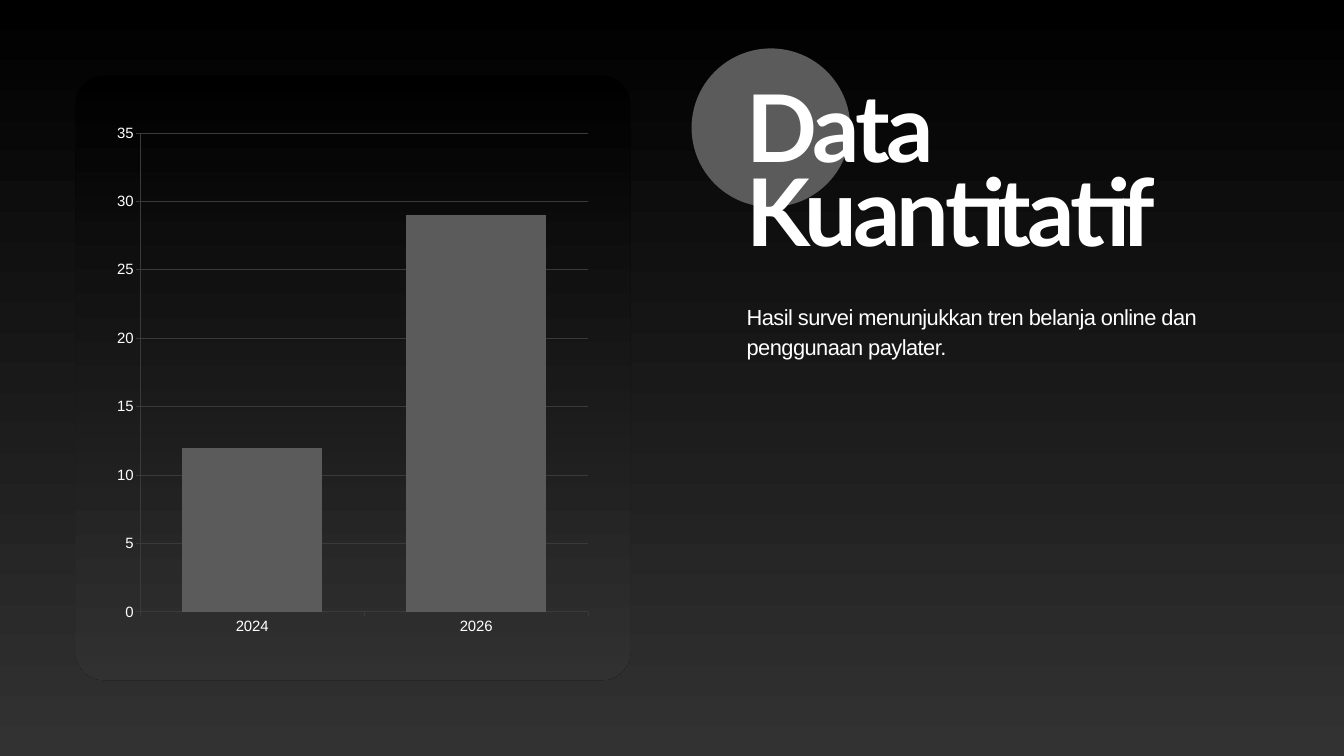
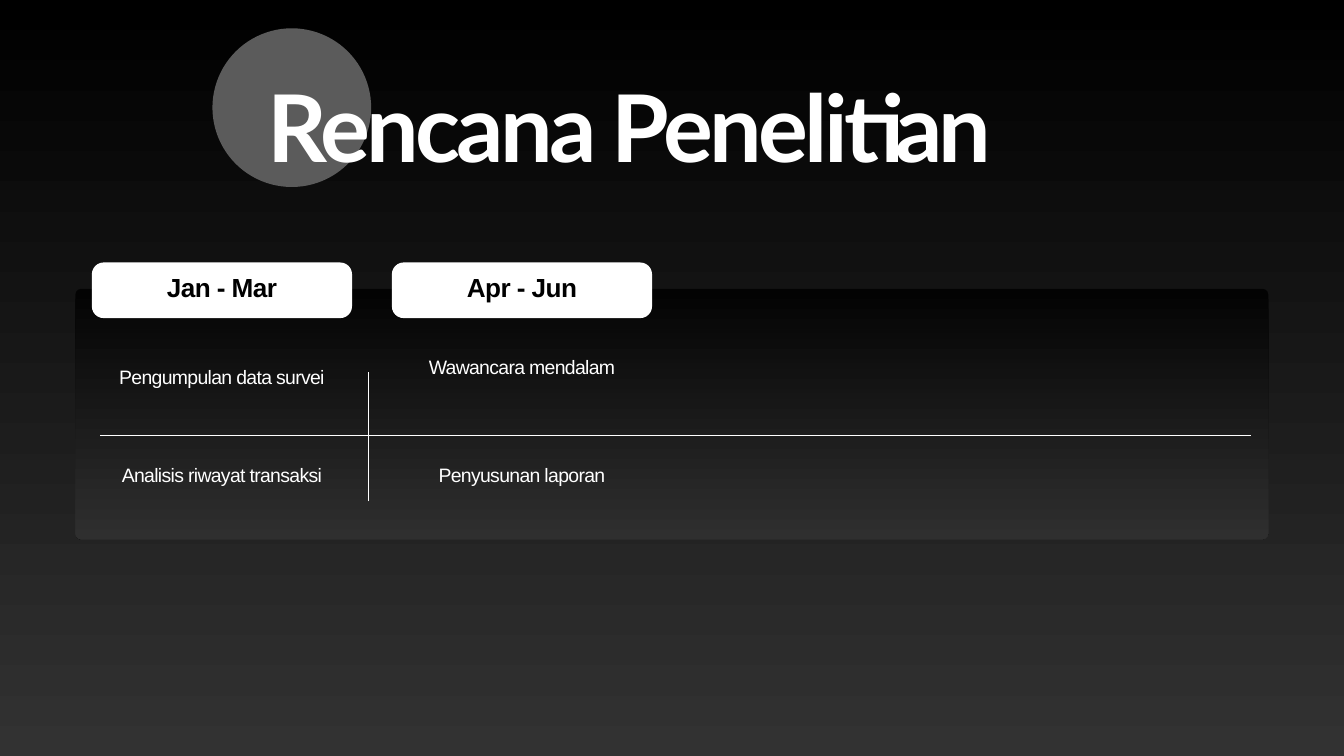
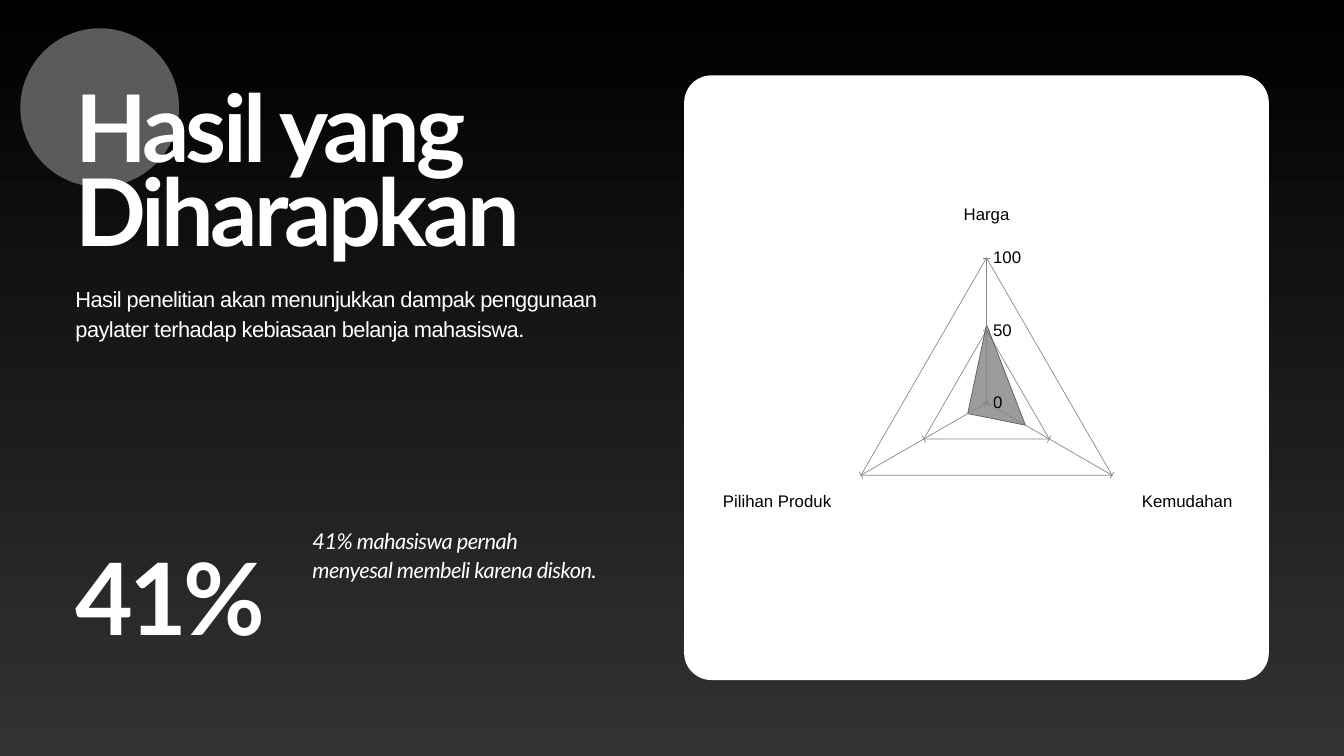
from dataclasses import dataclass
from lxml import etree
from pptx import Presentation
from pptx.chart.data import CategoryChartData
from pptx.dml.color import RGBColor
from pptx.enum import chart as charts, shapes, text
from pptx.oxml.ns import qn
from pptx.util import Cm, Pt

BLACK = RGBColor(0x00, 0x00, 0x00)
DARK = RGBColor(0x32, 0x32, 0x32)
GRID = RGBColor(0x3A, 0x3A, 0x3A)
GREY = RGBColor(0x5B, 0x5B, 0x5B)
WHITE = RGBColor(0xFF, 0xFF, 0xFF)


@dataclass(frozen=True)
class Box:
    """Place and size in centimetres."""
    x: float
    y: float
    w: float
    h: float

    def cm(self) -> tuple:
        return Cm(self.x), Cm(self.y), Cm(self.w), Cm(self.h)


@dataclass(frozen=True)
class Style:
    size: float
    line: float
    space: float
    font: str = "Arial"
    color: RGBColor = WHITE
    bold: bool = False
    italic: bool = False
    align: text.PP_ALIGN = text.PP_ALIGN.LEFT


TITLE = Style(100, 90, -4, "Lato", bold=True)
FIGURE = Style(106.9, 96.2, -4.3, "Lato", bold=True)
BODY = Style(23.4, 31.8, -0.6)
QUOTE = Style(23.4, 31.8, -0.6, "Lato", italic=True)
CELL = Style(20.8, 28.5, -0.7, align=text.PP_ALIGN.CENTER)
LABEL = Style(28, 27.2, -0.6, color=BLACK, bold=True, align=text.PP_ALIGN.CENTER)


# Text
def write(shape, words: str, style: Style, anchor=text.MSO_ANCHOR.TOP) -> None:
    frame = shape.text_frame
    frame.text = words
    frame.word_wrap = True
    frame.auto_size = text.MSO_AUTO_SIZE.NONE
    frame.vertical_anchor = anchor
    frame.margin_left = frame.margin_right = 0
    frame.margin_top = frame.margin_bottom = 0
    para = frame.paragraphs[0]
    para.alignment = style.align
    para.line_spacing = Pt(style.line)
    para.space_before = Pt(0)
    props = para._p.get_or_add_pPr()
    props.set("marL", "0")
    props.set("indent", "0")
    etree.SubElement(props, qn("a:buNone"))
    font = para.font
    font.name, font.size = style.font, Pt(style.size)
    font.bold, font.italic = style.bold, style.italic
    font.color.rgb = style.color
    font._element.set("spc", str(round(style.space * 100)))


def note(slide, box: Box, words: str, style: Style) -> None:
    write(slide.shapes.add_textbox(*box.cm()), words, style)


def fill_in(holder, box: Box, words: str, style: Style) -> None:
    holder.left, holder.top, holder.width, holder.height = box.cm()
    write(holder, words, style)


# Shapes
def fade(fill) -> None:
    fill.gradient()
    fill.gradient_angle = 270
    for stop, color in zip(fill.gradient_stops, (BLACK, DARK)):
        stop.color.rgb = color


def alpha(root, share: int) -> None:
    for color in root.iter(qn("a:srgbClr")):
        etree.SubElement(color, qn("a:alpha")).set("val", str(share * 1000))


def card(slide, box: Box, radius: float, solid: bool = True):
    shape = slide.shapes.add_shape(shapes.MSO_SHAPE.ROUNDED_RECTANGLE, *box.cm())
    shape.adjustments[0] = radius / min(box.w, box.h)
    shape.shadow.inherit = False
    shape.line.fill.background()
    if solid:
        shape.fill.solid()
        shape.fill.fore_color.rgb = WHITE
    else:
        fade(shape.fill)
        alpha(shape._element.spPr, 80)
    return shape


def rule(slide, x1: float, y1: float, x2: float, y2: float) -> None:
    line = slide.shapes.add_connector(
        shapes.MSO_CONNECTOR.STRAIGHT, Cm(x1), Cm(y1), Cm(x2), Cm(y2))
    line.line.color.rgb = WHITE
    line.line.width = Pt(1.5)
    etree.SubElement(line._element.spPr, qn("a:effectLst"))


def head(slide, box: Box, words: str, top: float = 1.07) -> None:
    """Title with the grey disc behind its first letter."""
    disc = slide.shapes.add_shape(
        shapes.MSO_SHAPE.OVAL, *Box(box.x - 2.08, top, 6, 6).cm())
    disc.shadow.inherit = False
    disc.fill.solid()
    disc.fill.fore_color.rgb = GREY
    disc.line.fill.background()
    title = slide.shapes.title
    disc._element.addnext(title._element)
    fill_in(title, box, words, TITLE)


# Charts
def plot(slide, box: Box, kind, data: dict, color: RGBColor, top: int, step: int):
    source = CategoryChartData()
    source.categories = list(data)
    source.add_series("Series 1", list(data.values()))
    chart = slide.shapes.add_chart(kind, *box.cm(), source).chart
    chart.has_legend = chart.has_title = False
    chart.font.name, chart.font.size = "Arial", Pt(18)
    chart.font.color.rgb = color
    chart.plots[0].vary_by_categories = False
    axis = chart.value_axis
    axis.minimum_scale, axis.maximum_scale, axis.major_unit = 0, top, step
    look = chart.plots[0].series[0].format
    look.fill.solid()
    look.fill.fore_color.rgb = GREY
    return chart


def data_slide(deck) -> None:
    slide = deck.slides.add_slide(deck.slide_layouts[1])
    head(slide, Box(28.22, 3.66, 19.74, 6.35), "Data Kuantitatif", 1.83)
    fill_in(slide.placeholders[1], Box(28.22, 11.35, 19.74, 5.9),
            "Hasil survei menunjukkan tren belanja online dan penggunaan paylater.",
            BODY)
    card(slide, Box(2.85, 2.85, 20.98, 22.86), 1.09, solid=False)
    chart = plot(slide, Box(4.06, 4.32, 18.54, 20.07),
                 charts.XL_CHART_TYPE.COLUMN_CLUSTERED,
                 {"2024": 12, "2026": 29}, WHITE, 35, 5)
    chart.plots[0].gap_width, chart.plots[0].overlap = 60, -10
    axes = chart.category_axis, chart.value_axis
    for axis in axes:
        axis.tick_labels.font.size = Pt(16)
        axis.tick_labels.font.color.rgb = WHITE
    for part in (*axes, chart.value_axis.major_gridlines):
        part.format.line.color.rgb = GRID
        part.format.line.width = Pt(0.75)


def plan_slide(deck) -> None:
    slide = deck.slides.add_slide(deck.slide_layouts[5])
    head(slide, Box(10.11, 3.66, 32.64, 3.18), "Rencana Penelitian")
    card(slide, Box(2.85, 10.92, 45.09, 9.47), 0.22, solid=False)
    # One column per quarter: label, then upper and lower task
    plan = (
        ("Jan - Mar", 13.69, "Pengumpulan data survei", "Analisis riwayat transaksi"),
        ("Apr - Jun", 13.31, "Wawancara mendalam", "Penyusunan laporan"),
    )
    for col, (term, top, first, second) in enumerate(plan):
        x = 3.5 + col * 11.34
        pill = card(slide, Box(x, 9.95, 9.78, 2.05), 0.42)
        pill.line.color.rgb = WHITE
        pill.line.width = Pt(1.5)
        write(pill, term, LABEL, text.MSO_ANCHOR.MIDDLE)
        for y, task in ((top, first), (17.37, second)):
            note(slide, Box(x + 0.44, y, 8.89, 1.52), task, CELL)
    rule(slide, 3.78, 16.46, 47.29, 16.46)
    rule(slide, 13.92, 18.95, 13.92, 14.05)


def result_slide(deck) -> None:
    slide = deck.slides.add_slide(deck.slide_layouts[1])
    head(slide, Box(2.85, 3.66, 21.1, 6.35), "Hasil yang Diharapkan")
    fill_in(slide.placeholders[1], Box(2.85, 10.67, 19.74, 5.9),
            "Hasil penelitian akan menunjukkan dampak penggunaan paylater "
            "terhadap kebiasaan belanja mahasiswa.", BODY)
    note(slide, Box(11.81, 19.81, 10.77, 5.9),
         "41% mahasiswa pernah menyesal membeli karena diskon.", QUOTE)
    note(slide, Box(2.85, 21.39, 9.14, 3.68), "41%", FIGURE)
    card(slide, Box(25.86, 2.85, 22.1, 22.86), 1.03)
    chart = plot(slide, Box(26.92, 4.06, 20.07, 20.32),
                 charts.XL_CHART_TYPE.RADAR_FILLED,
                 {"Harga": 54, "Kemudahan": 31, "Pilihan Produk": 15}, BLACK, 100, 50)
    look = chart.plots[0].series[0].format
    alpha(chart.plots[0].series[0]._element, 60)
    look.line.color.rgb = GREY
    look.line.width = Pt(0.75)


def main() -> None:
    deck = Presentation()
    deck.slide_width, deck.slide_height = Cm(50.8), Cm(28.58)
    fade(deck.slide_master.background.fill)
    for build in (data_slide, plan_slide, result_slide):
        build(deck)
    deck.save("out.pptx")


if __name__ == "__main__":
    main()
